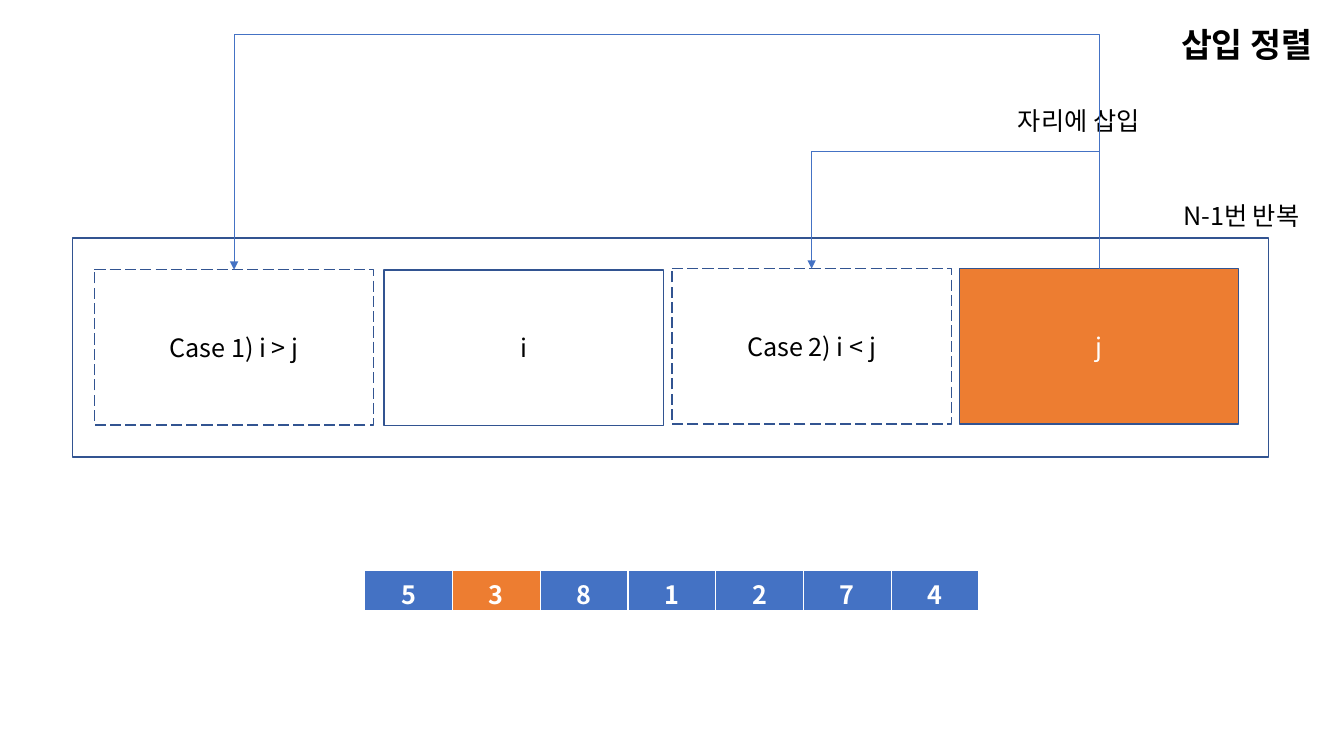
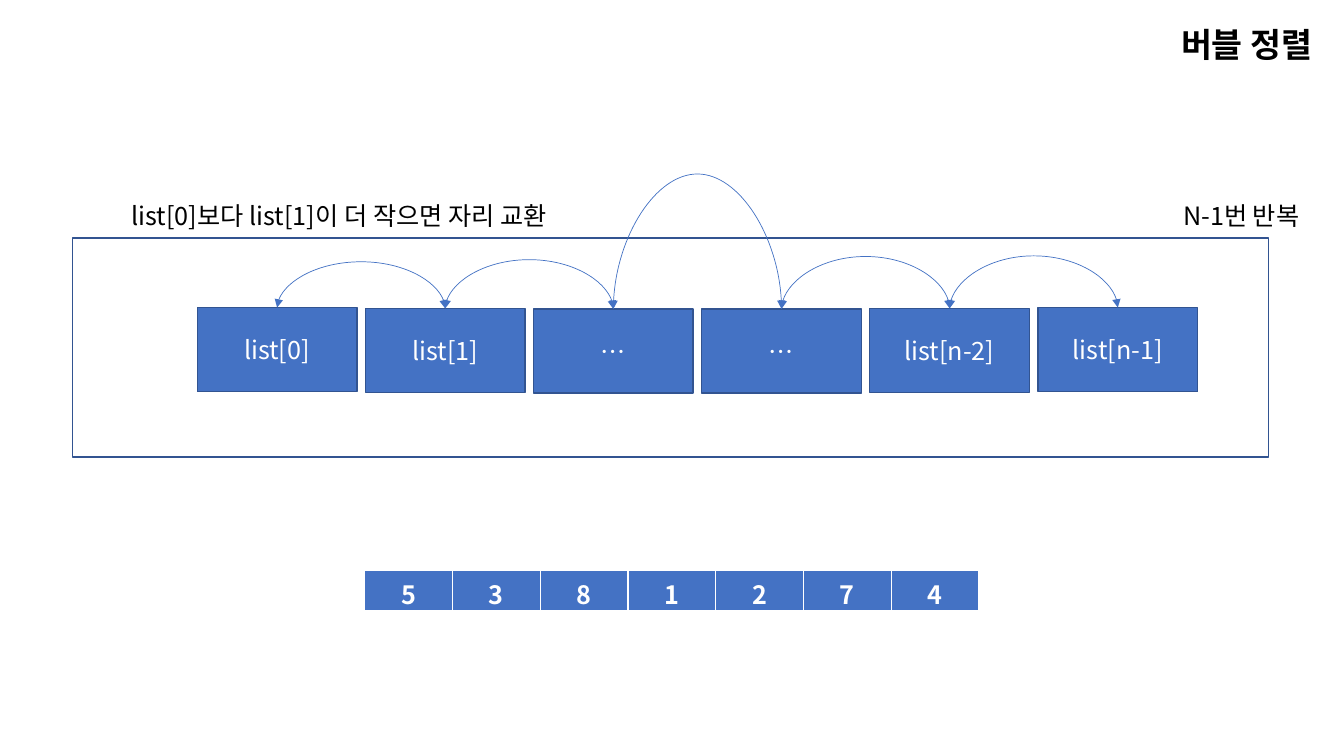
import pptx
import pptx.dml.color
import pptx.enum.dml
import pptx.enum.shapes
import pptx.enum.text
import pptx.oxml
import pptx.oxml.ns
import pptx.util

Pt = pptx.util.Pt
RGBColor = pptx.dml.color.RGBColor
MSO_CONNECTOR = pptx.enum.shapes.MSO_CONNECTOR
PP_ALIGN = pptx.enum.text.PP_ALIGN
MSO_ANCHOR = pptx.enum.text.MSO_ANCHOR
MSO_AUTO_SIZE = pptx.enum.text.MSO_AUTO_SIZE
qn = pptx.oxml.ns.qn

BLACK = RGBColor(0x00, 0x00, 0x00)
WHITE = RGBColor(0xFF, 0xFF, 0xFF)
BLUE = RGBColor(0x44, 0x72, 0xC4)
NAVY = RGBColor(0x32, 0x54, 0x91)
ORANGE = RGBColor(0xED, 0x7D, 0x31)
FONT = "Noto Sans CJK KR"
NUMBERS = (5, 3, 8, 1, 2, 7, 4)


def add_xml(parent, tag, **attributes):
    """Append a DrawingML child with the given attributes."""
    child = pptx.oxml.parse_xml(f"<a:{tag} {pptx.oxml.ns.nsdecls('a')}/>")
    for key, value in attributes.items():
        child.set(key, str(value))
    parent.append(child)
    return child


class SortDeck:
    """Hold the shared style and the slide being drawn."""

    def __init__(self):
        self.prs = pptx.Presentation()
        self.prs.slide_width, self.prs.slide_height = Pt(960), Pt(540)
        self.slide = None

    def start(self, heading):
        """Add a slide with its heading, repeat note and outer frame."""
        self.slide = self.prs.slides.add_slide(self.prs.slide_layouts[5])
        title = self.slide.shapes.title
        title.left, title.top, title.width, title.height = Pt(718.6), Pt(13.7), Pt(226), Pt(36)
        title.text_frame.word_wrap = True
        title.text_frame.vertical_anchor = MSO_ANCHOR.TOP
        title.text_frame.auto_size = MSO_AUTO_SIZE.SHAPE_TO_FIT_TEXT
        self.add_text(title.text_frame, heading, BLACK, PP_ALIGN.RIGHT, 24, True)
        self.box(52, 169.9, 854, 156.5)
        self.note("N-1번 반복", 838, 139.7, 106.5)

    def add_text(self, frame, text, color, align, size=18, bold=False):
        """Add one styled run to a text frame."""
        paragraph = frame.paragraphs[0]
        paragraph.alignment = align
        run = paragraph.add_run()
        run.text = text
        run.font.size, run.font.bold = Pt(size), bold
        run.font.color.rgb = color
        run.font.name = FONT
        add_xml(run._r.get_or_add_rPr(), "ea", typeface=FONT)

    def note(self, text, left, top, width):
        """Add an unwrapped note."""
        frame = self.slide.shapes.add_textbox(Pt(left), Pt(top), Pt(width), Pt(29)).text_frame
        frame.word_wrap = False
        frame.auto_size = MSO_AUTO_SIZE.SHAPE_TO_FIT_TEXT
        self.add_text(frame, text, BLACK, PP_ALIGN.LEFT)

    def box(self, left, top, width, height, text="", fill=None, color=BLACK, dashed=False):
        """Add an outlined process box and return it."""
        box = self.slide.shapes.add_shape(
            pptx.enum.shapes.MSO_SHAPE.FLOWCHART_PROCESS, Pt(left), Pt(top), Pt(width), Pt(height))
        box.shadow.inherit = False
        if fill is None:
            box.fill.background()
        else:
            box.fill.solid()
            box.fill.fore_color.rgb = fill
        box.line.color.rgb, box.line.width = NAVY, Pt(1)
        if dashed:
            box.line.dash_style = pptx.enum.dml.MSO_LINE.LONG_DASH
        if text:
            box.text_frame.vertical_anchor = MSO_ANCHOR.MIDDLE
            self.add_text(box.text_frame, text, color, PP_ALIGN.CENTER)
        return box

    def arch(self, kind, source, target, lift, both_ends=False):
        """Join the tops of two boxes with an arrow that rises by lift."""
        x0, x1 = (box.left + box.width // 2 for box in (source, target))
        rise, span = source.top - target.top, abs(x1 - x0)
        arch = self.slide.shapes.add_connector(kind, x0, source.top, x1, target.top)
        arch.begin_connect(source, 0)
        arch.end_connect(target, 0)
        arch.left = (x0 + x1 - abs(rise)) // 2
        arch.top = (source.top + target.top - span) // 2
        arch.width, arch.height = abs(rise), span
        properties = arch._element.spPr
        turned = rise > 0 and x1 > x0
        transform = properties.find(qn("a:xfrm"))
        transform.set("rot", str((90 if turned else 270) * 60000))
        transform.set("flipH", str(int(turned or rise < 0)))
        transform.set("flipV", str(int(turned or x1 < x0)))
        guides = properties.find(qn("a:prstGeom")).find(qn("a:avLst"))
        add_xml(guides, "gd", name="adj1", fmla=f"val {round(Pt(lift) / rise * 100000)}")
        arch.line.color.rgb, arch.line.width = BLUE, Pt(0.5)
        stroke = properties.find(qn("a:ln"))
        if both_ends:
            add_xml(stroke, "headEnd", type="triangle")
        add_xml(stroke, "tailEnd", type="triangle")
        add_xml(properties, "effectLst")

    def number_row(self, highlighted=None):
        """Add the row of numbers to sort, with one cell highlighted if asked."""
        table = self.slide.shapes.add_table(
            1, len(NUMBERS), Pt(260.6), Pt(407.5), Pt(438.9), Pt(29.2)).table
        table.first_row = table.horz_banding = False
        for index, number in enumerate(NUMBERS):
            table.columns[index].width = Pt(62.7)
            cell = table.cell(0, index)
            for side, width in (("L", 1), ("R", 1), ("T", 1), ("B", 3)):
                border = add_xml(cell._tc.get_or_add_tcPr(), f"ln{side}", w=int(Pt(width)))
                add_xml(add_xml(border, "solidFill"), "srgbClr", val=WHITE)
            cell.fill.solid()
            cell.fill.fore_color.rgb = ORANGE if index == highlighted else BLUE
            self.add_text(cell.text_frame, str(number), WHITE, PP_ALIGN.CENTER, bold=True)


def insertion_sort(deck):
    """Draw the insertion sort slide."""
    deck.start("삽입 정렬")
    size = (199.5, 111)
    deck.box(274.3, 192.8, *size, "i")
    moving = deck.box(685.2, 192, *size, "j", ORANGE, WHITE)
    case_below = deck.box(480, 191.94, *size, "Case 2) i < j", WHITE, dashed=True)
    case_above = deck.box(67.5, 192.6, *size, "Case 1) i > j", WHITE, dashed=True)
    deck.note("자리에 삽입", 720, 72, 118)
    deck.arch(MSO_CONNECTOR.ELBOW, moving, case_above, 169)
    deck.arch(MSO_CONNECTOR.ELBOW, moving, case_below, 89)
    deck.number_row(highlighted=1)


def bubble_sort(deck):
    """Draw the bubble sort slide."""
    deck.start("버블 정렬")
    deck.note("list[0]보다 list[1]이 더 작으면 자리 교환", 87, 139.7, 335)
    items = (("list[0]", 219.7), ("list[1]", 220.3), ("…", 220.67),
             ("…", 220.65), ("list[n-2]", 220.35), ("list[n-1]", 219.7))
    boxes = [deck.box(140.9 + 120.1 * index, top, 114, 60, text, BLUE, WHITE)
             for index, (text, top) in enumerate(items)]
    for source, target, lift in zip(boxes, boxes[1:], (33, 35, 34, 36, 37.5)):
        deck.arch(MSO_CONNECTOR.CURVE, source, target, lift, both_ends=True)
    deck.number_row()


def main():
    """Build and save the deck."""
    deck = SortDeck()
    insertion_sort(deck)
    bubble_sort(deck)
    deck.prs.save("out.pptx")


if __name__ == "__main__":
    main()
